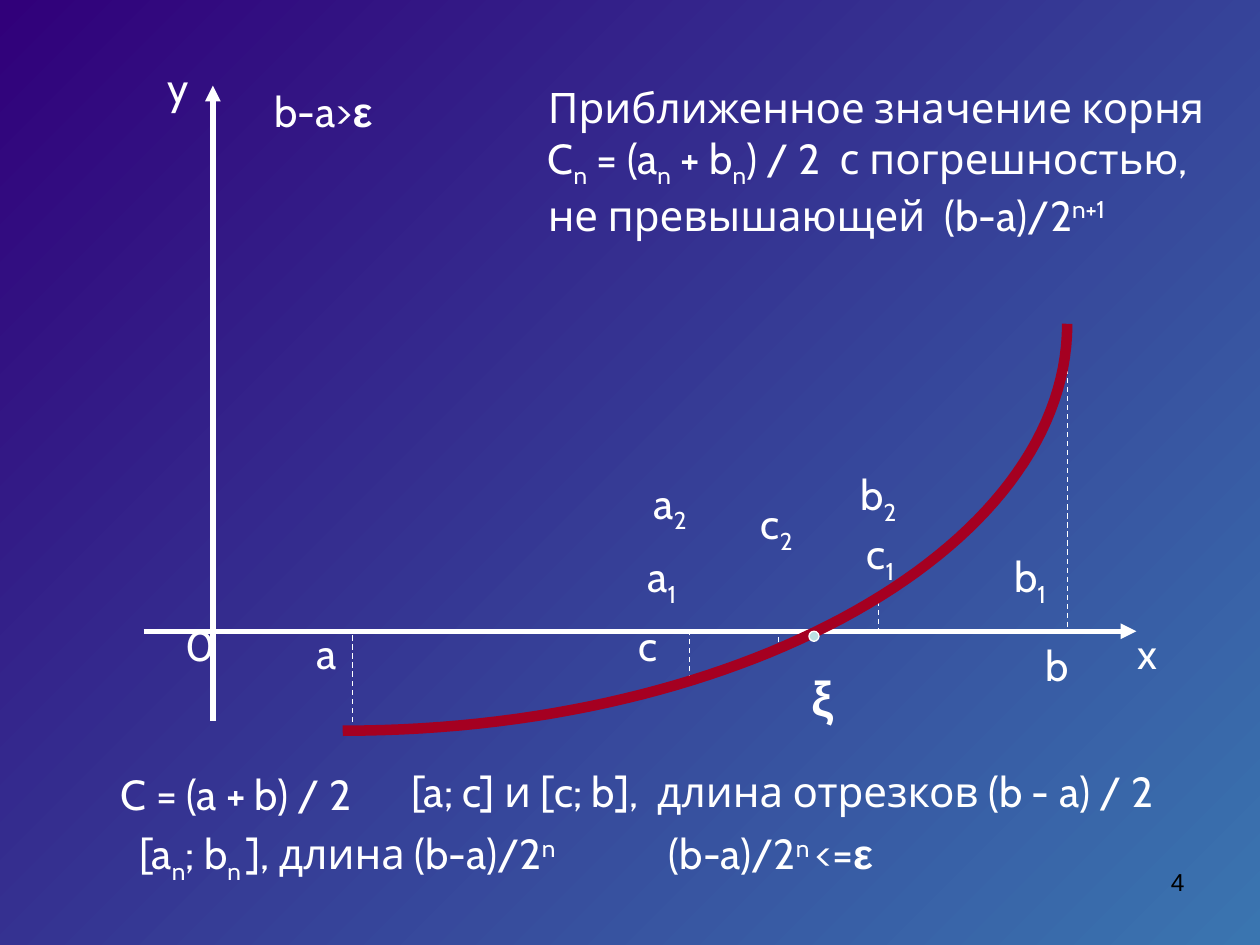
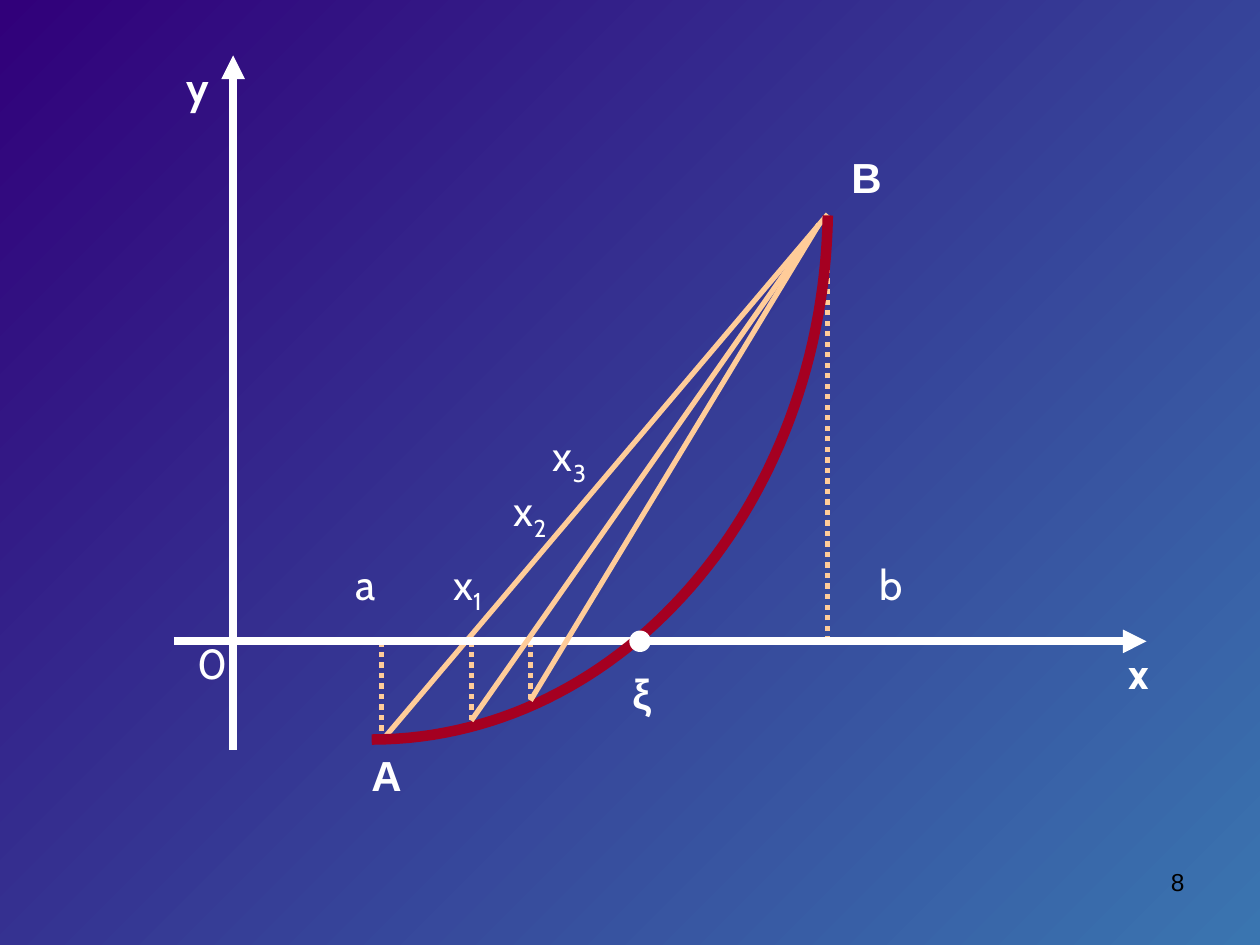
"""Build two slides on root finding: the bisection method and the chord method."""
import pptx
import pptx.dml.color
import pptx.enum.dml
import pptx.enum.shapes
import pptx.enum.text
import pptx.oxml
import pptx.oxml.ns
import pptx.util
from pptx.util import Inches

WHITE = pptx.dml.color.RGBColor(0xFF, 0xFF, 0xFF)
BLACK = pptx.dml.color.RGBColor(0x00, 0x00, 0x00)
PEACH = pptx.dml.color.RGBColor(0xFF, 0xCC, 0x99)
CRIMSON = pptx.dml.color.RGBColor(0xA5, 0x00, 0x21)
PALE_BLUE = pptx.dml.color.RGBColor(0xBB, 0xE0, 0xE3)
INDIGO = pptx.dml.color.RGBColor(0x31, 0x00, 0x7A)
STEEL_BLUE = pptx.dml.color.RGBColor(0x3A, 0x75, 0xB0)

DASH = pptx.enum.dml.MSO_LINE.DASH
DOTS = pptx.enum.dml.MSO_LINE.ROUND_DOT
BASELINES = {"_": "-25000", "^": "30000"}
CURVE_STEPS = 60


def add_line(slide, start, end, color, width, dash=None, arrow=False):
    """Draw a straight line, dashed or with an arrowhead where asked."""
    line = slide.shapes.add_connector(
        pptx.enum.shapes.MSO_CONNECTOR.STRAIGHT,
        *(Inches(value) for value in (*start, *end)))
    line.line.color.rgb = color
    line.line.width = pptx.util.Pt(width)
    if dash:
        line.line.dash_style = dash
    if arrow:
        head = pptx.oxml.parse_xml(
            f'<a:tailEnd {pptx.oxml.ns.nsdecls("a")} type="triangle"/>')
        line.line._get_or_add_ln().append(head)
    line._element.spPr.append(
        pptx.oxml.parse_xml(f'<a:effectLst {pptx.oxml.ns.nsdecls("a")}/>'))


def add_label(slide, box, text, size=24, color=WHITE, font="Cabin", wrap=False):
    """Place text whose |-separated runs may start with _ sub, ^ super, * bold Arial, ! bold."""
    frame = slide.shapes.add_textbox(*(Inches(value) for value in box)).text_frame
    frame.word_wrap = wrap
    frame.auto_size = pptx.enum.text.MSO_AUTO_SIZE.SHAPE_TO_FIT_TEXT
    for index, row in enumerate(text.split("\n")):
        paragraph = frame.add_paragraph() if index else frame.paragraphs[0]
        for piece in row.split("|"):
            mark = piece[0] if piece[0] in "_^*!" else ""
            run = paragraph.add_run()
            run.text = piece[len(mark):]
            run.font.size = pptx.util.Pt(size)
            run.font.color.rgb = color
            run.font.name = "Arial" if mark == "*" else font
            if mark in BASELINES:
                run.font._element.set("baseline", BASELINES[mark])
            elif mark:
                run.font.bold = True
    return frame


bisection = {
    "number": "4",
    "lines": [
        ((1.14, 5.01), (9.02, 5.01), WHITE, 3, None, True),
        ((1.69, 5.72), (1.69, 0.68), WHITE, 3, None, True),
        *(((x, y), (x, 5.01), WHITE, 0.75, DASH)
          for x, y in [(2.8, 5.8), (8.47, 2.57), (5.47, 5.4), (6.97, 4.77), (6.18, 5.17)]),
    ],
    "curve": [(2.72, 5.8), (5.89, 5.8), (8.47, 4.35), (8.47, 2.57)],
    "chords": [],
    "root": (6.42, 5.01, 0.08, PALE_BLUE),
    "labels": [
        ((8.93, 4.93, 0.37, 0.5), "x"),
        ((1.23, 0.44, 0.37, 0.5), "y"),
        ((1.37, 4.87, 0.39, 0.5), "0"),
        ((2.41, 4.93, 0.38, 0.5), "a"),
        ((8.2, 5.03, 0.4, 0.5), "b"),
        ((4.97, 4.87, 0.36, 0.5), "c"),
        ((5.04, 4.32, 0.5, 0.56), "a|_1"),
        ((7.95, 4.32, 0.51, 0.56), "b|_1"),
        ((6.78, 4.14, 0.47, 0.56), "c|_1"),
        ((5.09, 3.74, 0.5, 0.56), "a|_2"),
        ((6.73, 3.67, 0.51, 0.56), "b|_2"),
        ((5.94, 3.9, 0.47, 0.56), "c|_2"),
        ((6.34, 5.25, 0.39, 0.57), "*ξ", 28),
        ((2.08, 0.63, 1.05, 0.5), "b-a>|*ε"),
        ((0.86, 6.05, 2.22, 0.5), "C = (a + b) / 2"),
        ((3.17, 6.03, 6.37, 0.5), "[a; c] и [c; b],  длина отрезков (b - a) / 2"),
        ((1.01, 6.52, 3.67, 0.56), "[a|_n|; b|_n |], длина (b-a)/2|^n"),
        ((5.21, 6.52, 1.92, 0.56), "(b-a)/2|^n |<=|*ε"),
        ((4.25, 0.6, 5.54, 1.36),
         "Приближенное значение корня\n"
         "C|_n| = (a|_n| + b|_n|) / 2  с погрешностью,\n"
         "не превышающей  (b-a)/2|^n+1"),
    ],
}

chord_method = {
    "number": "8",
    "lines": [
        *(((x, 5.09), (x, y), PEACH, 3, DOTS)
          for x, y in [(4.21, 5.64), (3.74, 5.72), (6.57, 1.78), (3.03, 5.88)]),
        ((6.57, 1.7), (3.03, 5.88), PEACH, 3),
        ((1.38, 5.09), (9.1, 5.09), WHITE, 4.5, None, True),
        ((1.85, 5.95), (1.85, 0.44), WHITE, 4.5, None, True),
    ],
    "curve": [(2.95, 5.87), (4.92, 5.87), (6.53, 4.02), (6.57, 1.71)],
    "chords": [((6.5, 1.78), end, PEACH, 3) for end in [(3.74, 5.72), (4.21, 5.56)]],
    "root": (5, 5.01, 0.16, WHITE),
    "labels": [
        ((1.38, 0.44, 0.63, 0.5), "!y"),
        ((8.86, 5.09, 0.63, 0.5), "!x"),
        ((1.47, 5.01, 0.39, 0.5), "0"),
        ((2.72, 4.38, 0.38, 0.5), "a"),
        ((6.88, 4.38, 0.4, 0.5), "b"),
        ((3.5, 4.38, 0.47, 0.56), "x|_1"),
        ((3.98, 3.8, 0.47, 0.56), "x|_2"),
        ((4.29, 3.36, 0.47, 0.56), "x|_3"),
        ((4.92, 5.25, 0.38, 0.5), "*ξ"),
        ((2.85, 5.9, 0.44, 0.5), "*A"),
        ((6.66, 1.15, 0.44, 0.5), "*B"),
    ],
}

presentation = pptx.Presentation()
presentation.slide_width = Inches(10)
presentation.slide_height = Inches(7.5)

backdrop = presentation.slide_master.background.fill
backdrop.gradient()
backdrop.gradient_angle = 315
for stop, shade in zip(backdrop.gradient_stops, (INDIGO, STEEL_BLUE)):
    stop.color.rgb = shade

for graph in (bisection, chord_method):
    slide = presentation.slides.add_slide(presentation.slide_layouts[6])
    for line in graph["lines"]:
        add_line(slide, *line)

    points = []
    for step in range(CURVE_STEPS + 1):
        t = step / CURVE_STEPS
        weights = ((1 - t) ** 3, 3 * t * (1 - t) ** 2, 3 * t ** 2 * (1 - t), t ** 3)
        points.append(tuple(
            Inches(sum(w * p[axis] for w, p in zip(weights, graph["curve"])))
            for axis in (0, 1)))
    outline = slide.shapes.build_freeform(*points[0])
    outline.add_line_segments(points[1:], close=False)
    curve = outline.convert_to_shape()
    curve.shadow.inherit = False
    curve.fill.background()
    curve.line.color.rgb = CRIMSON
    curve.line.width = pptx.util.Pt(6)

    for chord in graph["chords"]:
        add_line(slide, *chord)
    for label in graph["labels"]:
        add_label(slide, *label)

    left, top, diameter, root_color = graph["root"]
    root = slide.shapes.add_shape(
        pptx.enum.shapes.MSO_SHAPE.OVAL,
        *(Inches(value) for value in (left, top, diameter, diameter)))
    root.shadow.inherit = False
    root.fill.solid()
    root.fill.fore_color.rgb = root_color
    root.line.color.rgb = WHITE
    root.line.width = pptx.util.Pt(0.75)

    page = add_label(slide, (7.17, 6.83, 2.33, 0.52), graph["number"],
                     14, BLACK, "Arial", True)
    page.auto_size = pptx.enum.text.MSO_AUTO_SIZE.NONE
    page.paragraphs[0].alignment = pptx.enum.text.PP_ALIGN.RIGHT

presentation.save("out.pptx")
